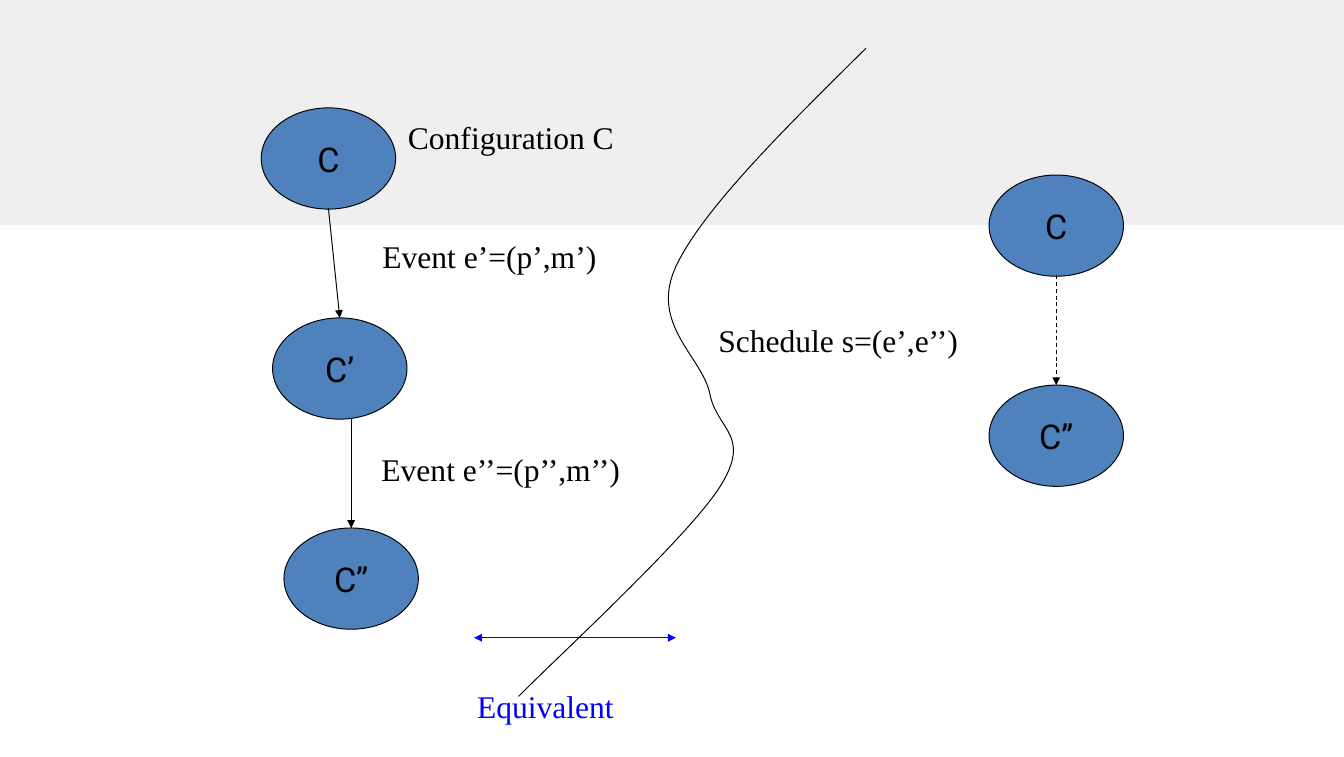
from dataclasses import dataclass

from lxml import etree
from pptx import Presentation
from pptx.dml.color import RGBColor
from pptx.enum.dml import MSO_LINE
from pptx.enum.shapes import MSO_CONNECTOR, MSO_SHAPE
from pptx.enum.text import MSO_ANCHOR, MSO_AUTO_SIZE, PP_ALIGN
from pptx.oxml.ns import qn
from pptx.util import Inches, Pt

STRAIGHT = MSO_CONNECTOR.STRAIGHT
RECTANGLE, OVAL = MSO_SHAPE.RECTANGLE, MSO_SHAPE.OVAL
DASH = MSO_LINE.DASH
MIDDLE, CENTER, LEFT = MSO_ANCHOR.MIDDLE, PP_ALIGN.CENTER, PP_ALIGN.LEFT
TOP, GROW, FIXED = MSO_ANCHOR.TOP, MSO_AUTO_SIZE.SHAPE_TO_FIT_TEXT, MSO_AUTO_SIZE.NONE


@dataclass(frozen=True)
class Theme:
    band: str = "EFEFEF"
    state: str = "4F81BD"
    ink: str = "000000"
    accent: str = "0000FF"
    state_font: str = "Roboto"
    label_font: str = "Times New Roman"
    state_size: int = 26
    label_size: int = 24
    line_width: float = 0.75


THEME = Theme()
SLIDE_SIZE = (14.2, 8)
BAND = (-0.59, -0.33, 15.27, 2.71)
STATE_SIZE = (1.42, 1.07)
LABEL_HEIGHT = 0.54

STATES = [
    ("C", 2.76, 1.14),
    ("C’", 2.88, 3.36),
    ("C’’", 3, 5.58),
    ("C", 10.45, 1.85),
    ("C’’", 10.45, 4.07),
]
LABELS = [
    ("Event e’=(p’,m’)", 3.9, 2.43, 2.55, THEME.ink),
    ("Event e’’=(p’’,m’’)", 3.89, 4.69, 2.88, THEME.ink),
    ("Configuration C", 4.17, 1.18, 2.46, THEME.ink),
    ("Schedule s=(e’,e’’)", 7.45, 3.32, 2.84, THEME.ink),
    ("Equivalent", 4.9, 7.19, 1.73, THEME.accent),
]
ARROWS = [
    ((3.47, 2.2), (3.59, 3.36), THEME.ink, None, ("tailEnd",)),
    ((3.71, 4.43), (3.71, 5.58), THEME.ink, None, ("tailEnd",)),
    ((11.16, 2.91), (11.16, 4.07), THEME.ink, DASH, ("tailEnd",)),
    ((5.01, 6.74), (7.14, 6.74), THEME.accent, None, ("headEnd", "tailEnd")),
]
DIVIDER_START = (9.15, 0.51)
DIVIDER_CURVES = [
    ((8.28, 1.37), (7.42, 2.22), (7.14, 2.82)),
    ((6.86, 3.43), (7.42, 3.77), (7.5, 4.16)),
    ((7.57, 4.54), (7.95, 4.6), (7.61, 5.14)),
    ((7.28, 5.67), (5.84, 6.99), (5.48, 7.36)),
]
CURVE_STEPS = 24


def set_line(line, color):
    line.color.rgb = RGBColor.from_string(color)
    line.width = Pt(THEME.line_width)


def add_filled(slide, kind, bounds, color):
    shape = slide.shapes.add_shape(kind, *map(Inches, bounds))
    shape.shadow.inherit = False
    shape.fill.solid()
    shape.fill.fore_color.rgb = RGBColor.from_string(color)
    return shape


def write(frame, wording, font_name, size, color, align, anchor, auto_size):
    frame.word_wrap = False
    frame.auto_size = auto_size
    frame.vertical_anchor = anchor
    frame.margin_left = frame.margin_right = Inches(0.14)
    frame.margin_top = frame.margin_bottom = Inches(0.07)
    paragraph = frame.paragraphs[0]
    paragraph.alignment = align
    run = paragraph.add_run()
    run.text = wording
    run.font.name = font_name
    run.font.size = Pt(size)
    run.font.color.rgb = RGBColor.from_string(color)


def add_state(slide, name, left, top):
    state = add_filled(slide, OVAL, (left, top, *STATE_SIZE), THEME.state)
    set_line(state.line, THEME.ink)
    write(state.text_frame, name, THEME.state_font, THEME.state_size,
          THEME.ink, CENTER, MIDDLE, FIXED)


def add_label(slide, wording, left, top, width, color):
    label = slide.shapes.add_textbox(*map(Inches, (left, top, width, LABEL_HEIGHT)))
    write(label.text_frame, wording, THEME.label_font, THEME.label_size,
          color, LEFT, TOP, GROW)


def add_arrow(slide, start, end, color, dash, ends):
    arrow = slide.shapes.add_connector(STRAIGHT, *map(Inches, start + end))
    set_line(arrow.line, color)
    if dash:
        arrow.line.dash_style = dash
    properties = arrow._element.spPr
    outline = properties.find(qn("a:ln"))
    for tip in ends:
        etree.SubElement(outline, qn(f"a:{tip}"), type="triangle")
    etree.SubElement(properties, qn("a:effectLst"))


def bezier(points, t):
    weights = ((1 - t) ** 3, 3 * t * (1 - t) ** 2, 3 * t ** 2 * (1 - t), t ** 3)
    return tuple(Inches(sum(w * p[axis] for w, p in zip(weights, points)))
                 for axis in (0, 1))


def add_divider(slide):
    start, vertices = DIVIDER_START, []
    for curve in DIVIDER_CURVES:
        vertices += [bezier((start, *curve), step / CURVE_STEPS)
                     for step in range(1, CURVE_STEPS + 1)]
        start = curve[-1]
    builder = slide.shapes.build_freeform(*map(Inches, DIVIDER_START))
    builder.add_line_segments(vertices, close=False)
    divider = builder.convert_to_shape()
    divider.shadow.inherit = False
    divider.fill.background()
    set_line(divider.line, THEME.ink)


def main():
    """Build the slide on equivalent configurations and schedules."""
    deck = Presentation()
    deck.slide_width, deck.slide_height = map(Inches, SLIDE_SIZE)
    slide = deck.slides.add_slide(deck.slide_layouts[6])
    add_filled(slide, RECTANGLE, BAND, THEME.band).line.fill.background()
    for state in STATES:
        add_state(slide, *state)
    for arrow in ARROWS:
        add_arrow(slide, *arrow)
    add_divider(slide)
    for label in LABELS:
        add_label(slide, *label)
    deck.save("out.pptx")


if __name__ == "__main__":
    main()
